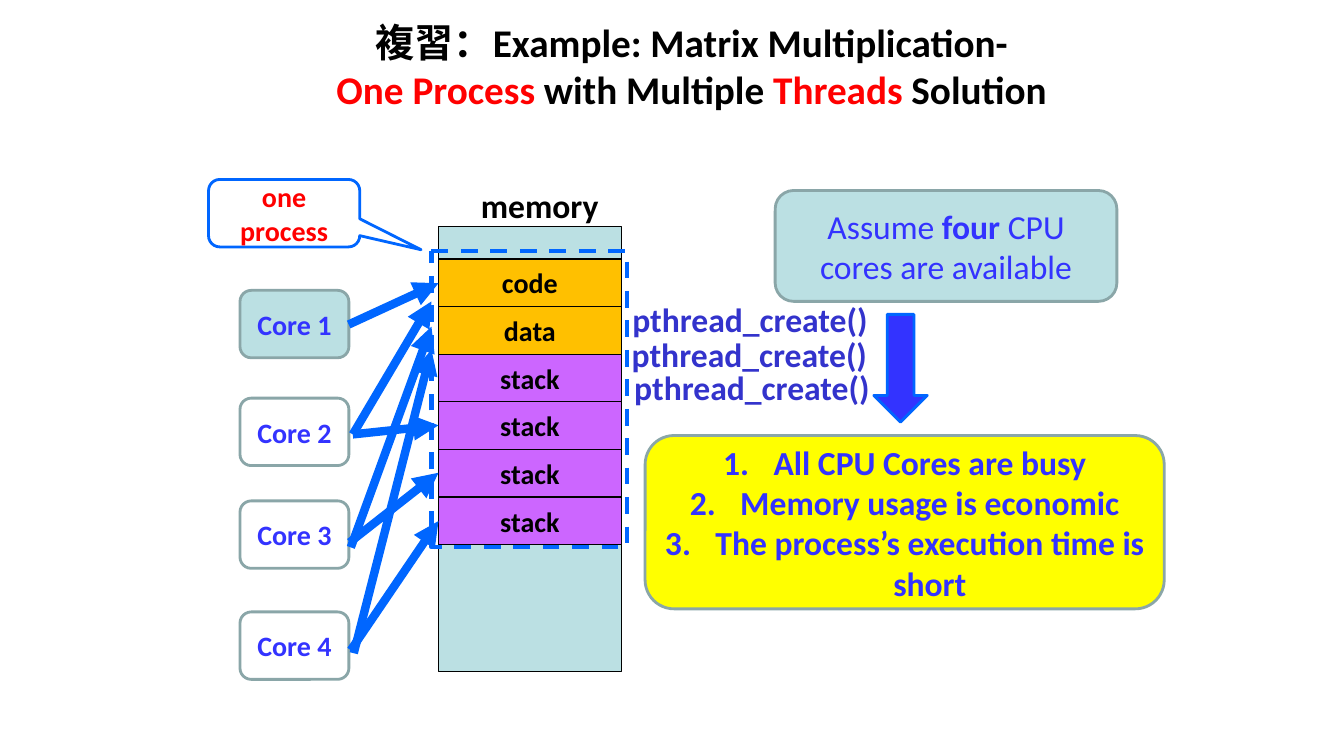
from lxml.etree import SubElement
from pptx import Presentation
from pptx.dml.color import RGBColor
from pptx.enum.dml import MSO_LINE
from pptx.enum.shapes import MSO_CONNECTOR, MSO_SHAPE
from pptx.enum.text import MSO_ANCHOR, PP_ALIGN
from pptx.oxml.ns import qn
from pptx.util import Pt

FONT = "Calibri"
COLORS = {
    "black": "000000", "red": "FF0000", "blue": "3333FF", "call": "3333CC",
    "outline": "0066FF", "pale": "BBE0E3", "gray": "8AA6A8",
    "orange": "FFC000", "purple": "CC66FF", "yellow": "FFFF00",
}


def rgb(name):
    return RGBColor.from_string(COLORS[name])


def format_run(run, size, color, bold=True):
    run.font.name = FONT
    run.font.size = Pt(size)
    run.font.bold = bold
    run.font.color.rgb = rgb(color)


def write(shape, text, size, color, anchor=MSO_ANCHOR.MIDDLE, wrap=True):
    frame = shape.text_frame
    frame.text = text
    frame.word_wrap = wrap
    frame.vertical_anchor = anchor
    for paragraph in frame.paragraphs:
        paragraph.alignment = PP_ALIGN.CENTER
        for run in paragraph.runs:
            format_run(run, size, color)


def add_runs(paragraph, runs, size):
    for text, color, bold in runs:
        run = paragraph.add_run()
        run.text = text
        format_run(run, size, color, bold)


def add_box(slide, kind, box, fill, line, width):
    shape = slide.shapes.add_shape(kind, *map(Pt, box))
    shape.shadow.inherit = False
    if fill:
        shape.fill.solid()
        shape.fill.fore_color.rgb = rgb(fill)
    else:
        shape.fill.background()
    shape.line.color.rgb = rgb(line)
    shape.line.width = Pt(width)
    return shape


def add_rounded(slide, box, fill=None):
    return add_box(slide, MSO_SHAPE.FLOWCHART_ALTERNATE_PROCESS, box, fill, "gray", 2)


def add_label(slide, box, text, color):
    label = slide.shapes.add_textbox(*map(Pt, box))
    write(label, text, 24, color, MSO_ANCHOR.TOP)


def add_arrow(slide, start, end):
    arrow = slide.shapes.add_connector(MSO_CONNECTOR.STRAIGHT, *map(Pt, start + end))
    arrow.line.color.rgb = rgb("outline")
    arrow.line.width = Pt(6)
    SubElement(arrow.line._get_or_add_ln(), qn("a:tailEnd"), type="triangle")
    SubElement(arrow._element.spPr, qn("a:effectLst"))


def add_title(slide, box):
    title = slide.shapes.add_textbox(*map(Pt, box))
    frame = title.text_frame
    frame.word_wrap = True
    frame.vertical_anchor = MSO_ANCHOR.MIDDLE
    paragraph = frame.paragraphs[0]
    paragraph.alignment = PP_ALIGN.CENTER
    add_runs(paragraph, [("複習：Example: Matrix Multiplication-", "black", True)], 28)
    paragraph.add_line_break()
    add_runs(paragraph, [("One Process", "red", True), (" with Multiple ", "black", True),
                         ("Threads", "red", True), (" Solution", "black", True)], 28)


def add_memory(slide, box):
    left, top, width, height = box
    add_box(slide, MSO_SHAPE.RECTANGLE, box, "pale", "black", 0.75)
    add_label(slide, (left + 10, top - 33.8, 124.6, 36), "memory", "black")
    segments = [("code", "orange"), ("data", "orange")] + [("stack", "purple")] * 4
    for index, (name, fill) in enumerate(segments):
        place = (left, top + 23 + 34 * index, width, 34)
        segment = add_box(slide, MSO_SHAPE.RECTANGLE, place, fill, "black", 0.75)
        write(segment, name, 20, "black", wrap=False)


def add_cores(slide, box):
    left, top, width, height = box
    for index, offset in enumerate((0, 77, 150.4, 229.7)):
        core = add_rounded(slide, (left, top + offset, width, height),
                           None if index else "pale")
        write(core, f"Core {index + 1}", 20, "blue")


def add_links(slide, box):
    """Arrows from the cores on the left edge to the memory on the right edge."""
    left, top, width, height = box
    shared, own = width - 5, width
    links = [
        ((0, 29.5), (own, 0)),
        ((2.9, 108), (shared, 13)), ((2.9, 108), (own, 101.5)),
        ((1.5, 188.7), (shared, 31)), ((0.7, 185.1), (own, 135.4)),
        ((3.6, 264.3), (shared, 47.5)), ((1.5, 262.1), (own, 169.9)),
    ]
    for (x1, y1), (x2, y2) in links:
        add_arrow(slide, (left + x1, top + y1), (left + x2, top + y2))


def add_process(slide, box):
    left, top, width, height = box
    frame = add_box(slide, MSO_SHAPE.FLOWCHART_PROCESS, box, None, "outline", 3)
    frame.line.dash_style = MSO_LINE.DASH
    callout = add_box(slide, MSO_SHAPE.ROUNDED_RECTANGULAR_CALLOUT,
                      (left - 159.2, top - 51.1, 108, 48.2), None, "outline", 2)
    for index, value in enumerate((0.906, 0.542, 0.167)):
        callout.adjustments[index] = value
    write(callout, "one process", 20, "red")


def add_explanation(slide, box):
    left, top, width, height = box

    # Assumption
    assumption = add_rounded(slide, (left + 92.9, top, 244.1, 79.2), "pale")
    write(assumption, "", 24, "blue")
    add_runs(assumption.text_frame.paragraphs[0],
             [("Assume ", "blue", False), ("four", "blue", True),
              (" CPU cores are available", "blue", False)], 24)

    # Thread creation
    add_box(slide, MSO_SHAPE.DOWN_ARROW, (left + 163.4, top + 88.5, 38.2, 77),
            "blue", "outline", 2)
    for x, y in ((-22.3, 74.2), (-22.7, 98.6), (-20.9, 122.4)):
        add_label(slide, (left + x, top + y, 194.4, 36), "pthread_create()", "call")

    # Results
    results = add_rounded(slide, (left, top + 175, width, height - 175), "yellow")
    write(results, "All CPU Cores are busy\nMemory usage is economic\n"
          "The process’s execution time is short", 24, "blue")
    for paragraph in results.text_frame.paragraphs:
        properties = paragraph._p.get_or_add_pPr()
        properties.set("marL", str(Pt(36)))
        properties.set("indent", str(Pt(-36)))
        SubElement(properties, qn("a:buFont"), typeface="+mj-lt")
        SubElement(properties, qn("a:buAutoNum"), type="arabicPeriod")


def main():
    presentation = Presentation()
    presentation.slide_width, presentation.slide_height = Pt(960), Pt(540)
    slide = presentation.slides.add_slide(presentation.slide_layouts[6])
    add_title(slide, (170, 1.5, 648, 90))
    add_memory(slide, (313.2, 162, 130.6, 317.5))
    add_cores(slide, (171.4, 207.4, 77.8, 48.2))
    add_explanation(slide, (460.8, 136.1, 370.8, 298.8))
    add_links(slide, (249.1, 202.3, 64.1, 264.3))
    add_process(slide, (308.2, 179.3, 139.7, 211.7))
    presentation.save("out.pptx")


if __name__ == "__main__":
    main()
